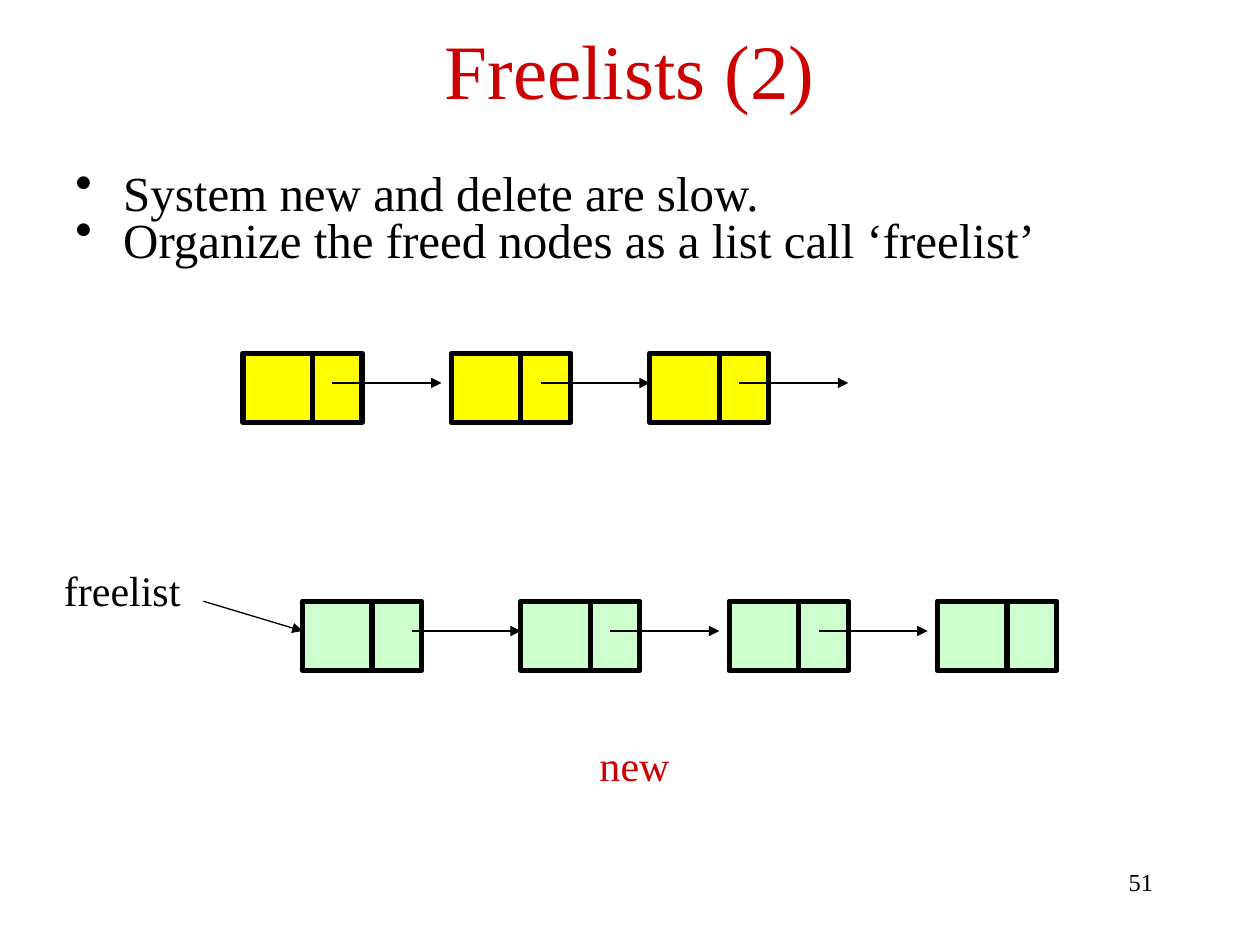
from dataclasses import dataclass

import pptx
import pptx.dml.color
import pptx.enum.shapes
import pptx.enum.text
import pptx.oxml.ns
import pptx.util

ALIGN = pptx.enum.text.PP_ALIGN
ANCHOR = pptx.enum.text.MSO_ANCHOR
FIT = pptx.enum.text.MSO_AUTO_SIZE
COLS = 254  # square grid cells across the slide width
NODE_W, NODE_H = 24, 14
DIVIDER = 14  # columns from a node's left side to its divider
LINK_ROW, LINK_W = 6, 22


@dataclass(frozen=True)
class Theme:
    font: str = "Times New Roman"
    ink: str = "000000"
    accent: str = "CC0000"
    used: str = "FFFF00"
    freed: str = "CCFFCC"
    title: float = 44
    body: float = 28
    label: float = 24
    number: float = 14
    thick: float = 3
    thin: float = 0.75


@dataclass(frozen=True)
class Label:
    text: str
    box: tuple[float, float, float, float]  # shares of the slide's size
    size: float
    color: str
    align: ALIGN = ALIGN.LEFT
    anchor: ANCHOR = ANCHOR.TOP
    wrap: bool = True


@dataclass(frozen=True)
class Chain:
    row: float
    fill: str
    nodes: tuple[float, ...]  # left column of each node
    links: tuple[float, ...]  # start column of each arrow


THEME = Theme()
LABELS = (
    Label("51", (0.717, 0.911, 0.208, 0.067), THEME.number, THEME.ink, ALIGN.RIGHT),
    Label("Freelists (2)", (0.05, 0.006, 0.9, 0.133), THEME.title, THEME.accent,
          ALIGN.CENTER, ANCHOR.MIDDLE),
    Label("new", (0.466, 0.776, 0.08, 0.067), THEME.label, THEME.accent, wrap=False),
    Label("freelist", (0.041, 0.591, 0.117, 0.067), THEME.label, THEME.ink, wrap=False),
)
BULLETS = (
    "System new and delete are slow.",
    "Organize the freed nodes as a list call ‘freelist’",
)
BULLET_BOX = (0.05, 0.187, 0.9, 0.667)
CHAINS = (
    Chain(71.2, THEME.used, (49, 91, 131), (67, 109, 149)),
    Chain(121.2, THEME.freed, (61, 105, 147, 189), (83, 123, 165)),
)

prs = pptx.Presentation()
prs.slide_width = pptx.util.Inches(10)
prs.slide_height = pptx.util.Inches(7.5)
s = prs.slides.add_slide(prs.slide_layouts[6])


def rgb(color: str) -> pptx.dml.color.RGBColor:
    return pptx.dml.color.RGBColor.from_string(color)


def grid(cells: float) -> pptx.util.Emu:
    return pptx.util.Emu(round(prs.slide_width * cells / COLS))


def add_text_frame(box: tuple[float, float, float, float], **formats):
    sides = (prs.slide_width, prs.slide_height) * 2
    tf = s.shapes.add_textbox(*(round(b * side) for b, side in zip(box, sides))).text_frame
    for name, value in formats.items():
        setattr(tf, name, value)
    return tf


def style_font(p, size: float, color: str) -> None:
    for r in p.runs:
        for name, value in {"name": THEME.font, "size": pptx.util.Pt(size)}.items():
            setattr(r.font, name, value)
        r.font.color.rgb = rgb(color)


def add_label(label: Label) -> None:
    tf = add_text_frame(label.box, word_wrap=label.wrap, vertical_anchor=label.anchor,
                        auto_size=FIT.NONE if label.wrap else FIT.SHAPE_TO_FIT_TEXT)
    p = tf.paragraphs[0]
    p.text, p.alignment = label.text, label.align
    style_font(p, label.size, label.color)


def add_bullets(texts: tuple[str, ...]) -> None:
    tf = add_text_frame(BULLET_BOX, word_wrap=True)
    indent = pptx.util.Inches(0.38)
    for i, text in enumerate(texts):
        p = tf.paragraphs[0] if i == 0 else tf.add_paragraph()
        p.text, p.line_spacing = text, 0.6
        p.space_before = pptx.util.Pt(7 if i else 0)
        pPr = p._p.get_or_add_pPr()
        pPr.set("marL", str(indent))
        pPr.set("indent", str(-indent))
        pPr.append(pPr.makeelement(pptx.oxml.ns.qn("a:buChar"), {"char": "•"}))
        style_font(p, THEME.body, THEME.ink)


def add_line(x1: float, y1: float, x2: float, y2: float,
             width: float, arrow: bool = False) -> None:
    line = s.shapes.add_connector(pptx.enum.shapes.MSO_CONNECTOR.STRAIGHT,
                                  grid(x1), grid(y1), grid(x2), grid(y2))
    line.line.color.rgb = rgb(THEME.ink)
    line.line.width = pptx.util.Pt(width)
    if arrow:
        ln = line.line._get_or_add_ln()
        ln.append(ln.makeelement(pptx.oxml.ns.qn("a:tailEnd"), {"type": "triangle"}))
    spPr = line._element.spPr
    spPr.append(spPr.makeelement(pptx.oxml.ns.qn("a:effectLst"), {}))


def add_chain(chain: Chain) -> None:
    top, bottom = chain.row, chain.row + NODE_H
    for x in chain.nodes:
        sp = s.shapes.add_shape(pptx.enum.shapes.MSO_SHAPE.RECTANGLE,
                                grid(x), grid(top), grid(NODE_W), grid(NODE_H))
        sp.shadow.inherit = False
        sp.fill.solid()
        sp.fill.fore_color.rgb = rgb(chain.fill)
        sp.line.color.rgb = rgb(THEME.ink)
        sp.line.width = pptx.util.Pt(THEME.thick)
        add_line(x + DIVIDER, top, x + DIVIDER, bottom, THEME.thick)
    for x in chain.links:
        add_line(x, top + LINK_ROW, x + LINK_W, top + LINK_ROW, THEME.thin, arrow=True)


def main() -> None:
    for label in LABELS:
        add_label(label)
    add_bullets(BULLETS)
    for chain in CHAINS:
        add_chain(chain)
    freed = CHAINS[1]
    head = freed.nodes[0]
    add_line(head - 20, freed.row, head, freed.row + LINK_ROW, THEME.thin, arrow=True)
    prs.save("out.pptx")


if __name__ == "__main__":
    main()
